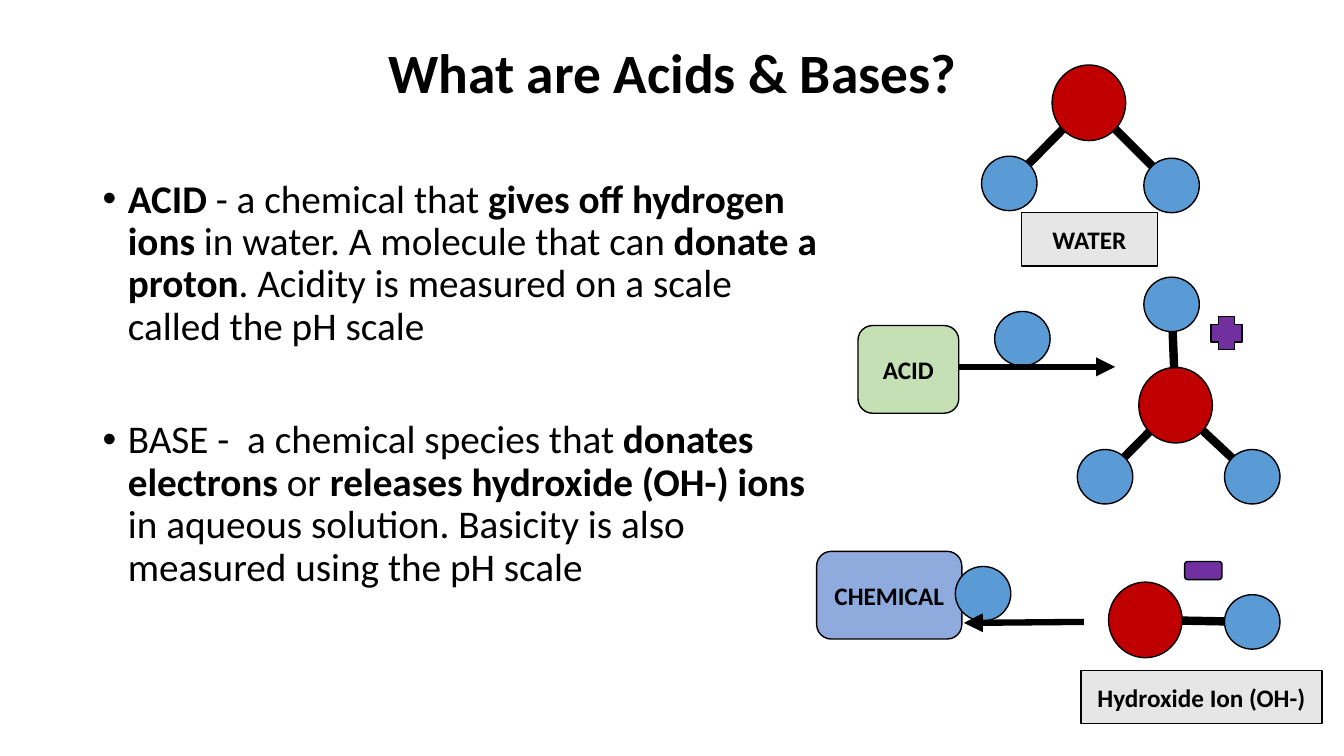
import math

from lxml import etree
from pptx import Presentation
from pptx.dml.color import RGBColor
from pptx.enum import shapes, text
from pptx.oxml import ns
from pptx.util import Inches, Pt

BLACK, GREY, RED, BLUE, PURPLE = "000000", "E7E6E6", "C00000", "5B9BD5", "7030A0"
GREEN, LIGHT_BLUE = "C5E0B4", "8FAADC"
SHAPE = shapes.MSO_SHAPE
OXYGEN, HYDROGEN = (0.73, 0.75), (0.55, 0.54)
DEFINITIONS = [
    [("ACID", True), (" - a chemical that ", False), ("gives off hydrogen ions", True),
     (" in water. A molecule that can ", False), ("donate a proton", True),
     (". Acidity is measured on a scale called the pH scale", False)],
    [("BASE -  a chemical species that ", False), ("donates electrons ", True), ("or ", False),
     ("releases hydroxide (OH-) ions ", True),
     ("in aqueous solution. Basicity is also measured using the pH scale", False)],
]


def color(value):
    """Return the colour for a hex string."""
    return RGBColor.from_string(value)


def add_run(p, words, size=18, bold=True):
    """Add a formatted run to a paragraph."""
    r = p.add_run()
    r.text = words
    r.font.name, r.font.size, r.font.bold = "Calibri", Pt(size), bold
    r.font.color.rgb = color(BLACK)


def add_box(slide, kind, box, fill, label=""):
    """Add an outlined preset shape with an optional centred label."""
    sp = slide.shapes.add_shape(kind, *map(Inches, box))
    sp.shadow.inherit = False
    sp.fill.solid()
    sp.fill.fore_color.rgb = color(fill)
    sp.line.color.rgb = color(BLACK)
    sp.line.width = Pt(1)
    if label:
        tf = sp.text_frame
        tf.word_wrap = True
        tf.vertical_anchor = text.MSO_ANCHOR.MIDDLE
        tf.paragraphs[0].alignment = text.PP_ALIGN.CENTER
        add_run(tf.paragraphs[0], label)


def add_atom(slide, center, size, fill):
    """Add a round atom around its centre."""
    (x, y), (w, h) = center, size
    add_box(slide, SHAPE.OVAL, (x - w / 2, y - h / 2, w, h), fill)


def add_line(slide, start, end, width, arrow=False):
    """Add a straight black line, with an arrowhead at its end if asked."""
    line = slide.shapes.add_connector(shapes.MSO_CONNECTOR.STRAIGHT, *map(Inches, (*start, *end)))
    line.line.color.rgb = color(BLACK)
    line.line.width = Pt(width)
    if arrow:
        etree.SubElement(line.line._get_or_add_ln(), ns.qn("a:tailEnd"), type="triangle")
    etree.SubElement(line._element.spPr, ns.qn("a:effectLst"))


def add_molecule(slide, center, offsets):
    """Add an oxygen with hydrogens at offsets, bonded from edge to edge."""
    x, y = center
    add_atom(slide, center, OXYGEN, RED)
    for dx, dy in offsets:
        add_atom(slide, (x + dx, y + dy), HYDROGEN, BLUE)
        length = math.hypot(dx, dy)
        near, far = OXYGEN[0] / 2 / length, 1 - HYDROGEN[0] / 2 / length
        add_line(slide, (x + dx * near, y + dy * near), (x + dx * far, y + dy * far), 6)


def add_reaction(slide, box, fill, label, proton, start, end):
    """Add a labelled reactant with a proton and an arrow placed from its corner."""
    x, y = box[:2]
    add_box(slide, SHAPE.ROUNDED_RECTANGLE, box, fill, label)
    add_atom(slide, (x + proton[0], y + proton[1]), HYDROGEN, BLUE)
    add_line(slide, (x + start[0], y + start[1]), (x + end[0], y + end[1]), 4.5, arrow=True)


def add_title(slide, box, words):
    """Place and format the title placeholder."""
    sp = slide.shapes.title
    sp.left, sp.top, sp.width, sp.height = map(Inches, box)
    tf = sp.text_frame
    tf.auto_size = text.MSO_AUTO_SIZE.NONE
    tf.vertical_anchor = text.MSO_ANCHOR.MIDDLE
    p = tf.paragraphs[0]
    p.alignment, p.line_spacing = text.PP_ALIGN.CENTER, 0.9
    add_run(p, words, size=39.6)


def add_definitions(slide, box, definitions):
    """Add the bulleted definitions, set well apart."""
    tf = slide.shapes.add_textbox(*map(Inches, box)).text_frame
    tf.word_wrap = True
    for i, parts in enumerate(definitions):
        p = tf.add_paragraph() if i else tf.paragraphs[0]
        p.line_spacing, p.space_before = 0.9, Pt(51 if i else 10)
        pPr = p._p.get_or_add_pPr()
        pPr.set("marL", str(Inches(0.25)))
        pPr.set("indent", str(-Inches(0.25)))
        etree.SubElement(pPr, ns.qn("a:buFont"), typeface="Arial")
        etree.SubElement(pPr, ns.qn("a:buChar"), char="•")
        for words, bold in parts:
            add_run(p, words, size=28, bold=bold)


def add_water(slide, x, y):
    """Add the water molecule and its label around the oxygen centre."""
    add_molecule(slide, (x, y), [(-0.79, 0.8), (0.82, 0.82)])
    add_box(slide, SHAPE.RECTANGLE, (x - 0.67, y + 1.09, 1.35, 0.53), GREY, "WATER")


def add_hydronium(slide, x, y):
    """Add the positive ion around the oxygen centre."""
    add_molecule(slide, (x, y), [(-0.7, 0.71), (0.76, 0.71), (-0.04, -1)])
    add_box(slide, SHAPE.CROSS, (x + 0.35, y - 0.88, 0.31, 0.33), PURPLE)


def add_hydroxide(slide, x, y):
    """Add the negative ion and its label around the oxygen centre."""
    add_molecule(slide, (x, y), [(1.06, 0.02)])
    add_box(slide, SHAPE.ROUNDED_RECTANGLE, (x + 0.39, y - 0.58, 0.37, 0.18), PURPLE)
    add_box(slide, SHAPE.RECTANGLE, (x - 0.64, y + 0.5, 2.39, 0.53), GREY, "Hydroxide Ion (OH-)")


def main():
    """Build and save the slide."""
    prs = Presentation()
    prs.slide_width, prs.slide_height = Inches(13.33), Inches(7.5)
    slide = prs.slides.add_slide(prs.slide_layouts[5])
    add_title(slide, (0.92, 0.4, 11.5, 0.69), "What are Acids & Bases?")
    add_definitions(slide, (0.92, 1.73, 7.36, 5.02), DEFINITIONS)
    add_water(slide, 10.8, 1.02)
    add_hydronium(slide, 11.66, 4.02)
    add_reaction(slide, (8.51, 3.23, 1, 0.87), GREEN, "ACID", (1.63, 0.13), (1, 0.41), (2.55, 0.41))
    add_hydroxide(slide, 11.36, 6.15)
    add_reaction(slide, (8.1, 5.47, 1.44, 0.87), LIGHT_BLUE, "CHEMICAL",
                 (1.65, 0.42), (2.65, 0.7), (1.46, 0.71))
    prs.save("out.pptx")


if __name__ == "__main__":
    main()
